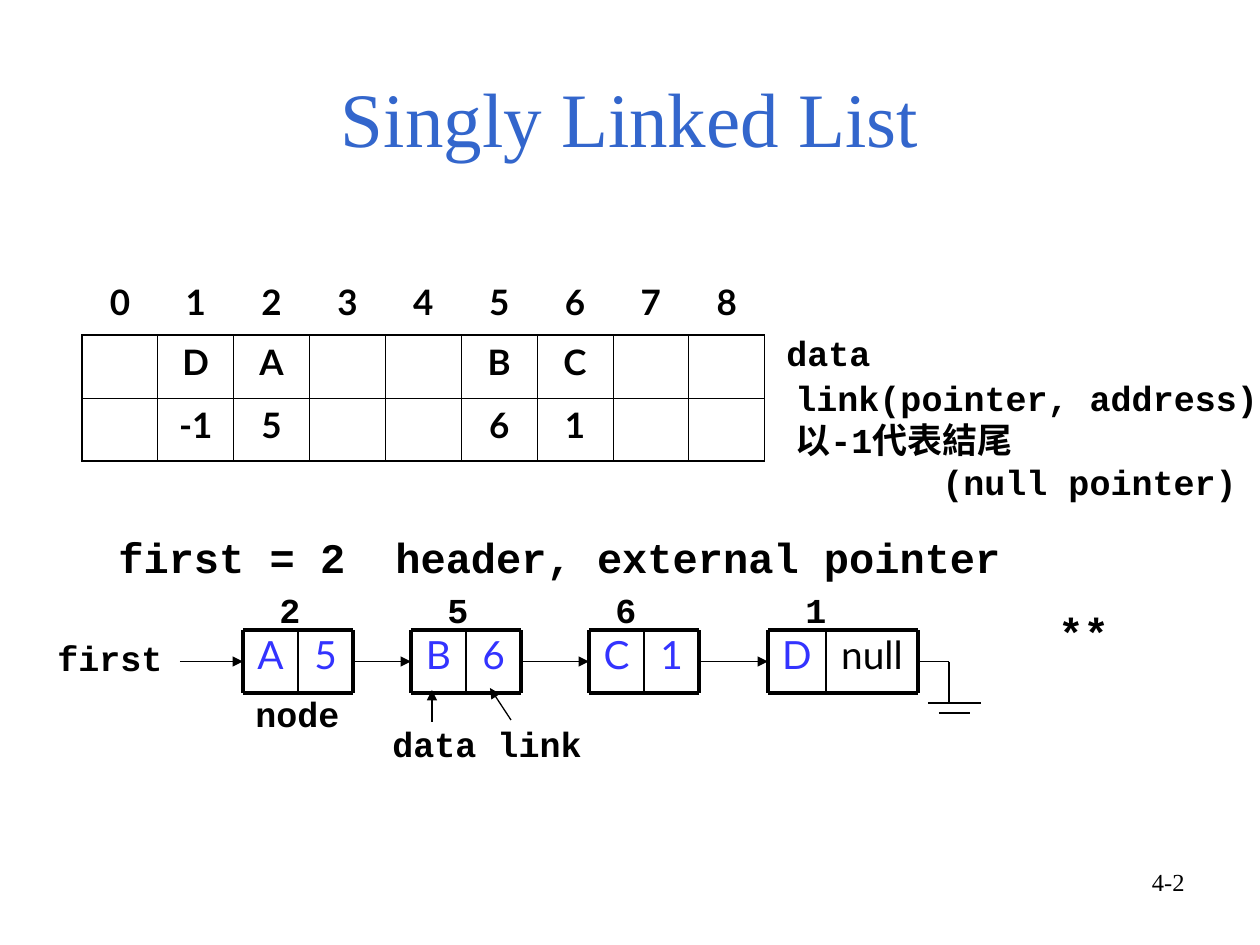
from lxml import etree
from pptx import Presentation
from pptx.dml.color import RGBColor
from pptx.enum.shapes import MSO_CONNECTOR
from pptx.enum.text import MSO_ANCHOR, PP_ALIGN
from pptx.oxml.ns import qn
from pptx.util import Pt

STRAIGHT = MSO_CONNECTOR.STRAIGHT
LEFT, CENTER, RIGHT = PP_ALIGN.LEFT, PP_ALIGN.CENTER, PP_ALIGN.RIGHT
TOP, MIDDLE = MSO_ANCHOR.TOP, MSO_ANCHOR.MIDDLE
LEFT_SIDE, RIGHT_SIDE = 1, 3
BLACK, TITLE_BLUE, NODE_BLUE = "000000", "3366CC", "3333FF"
MONO, SERIF, SANS = "Courier New", "Times New Roman", "Lato"

ROWS = [
    ["0", "1", "2", "3", "4", "5", "6", "7", "8"],
    ["", "D", "A", "", "", "B", "C", "", ""],
    ["", "-1", "5", "", "", "6", "1", "", ""],
]
ROW_HEIGHTS = [60, 63, 63]
TABLE_LEFT, TABLE_TOP, TABLE_WIDTH = 82, 275, 683
THIN, THICK = 0.45, 1.08

NODE_TOP, NODE_HEIGHT = 630, 63
NODE_MIDDLE = NODE_TOP + NODE_HEIGHT / 2
NODE_BOTTOM = NODE_TOP + NODE_HEIGHT
# (left, data width, link width, data, link, link colour, address, address left)
NODES = [
    (243, 55, 55, "A", "5", NODE_BLUE, "2", 267),
    (411, 55, 55, "B", "6", NODE_BLUE, "5", 435),
    (589, 55, 55, "C", "1", NODE_BLUE, "6", 603),
    (768, 58, 92, "D", "null", BLACK, "1", 793),
]
LABELS = [
    (["data"], 774, 325, 109, 55, 20),
    (["link(pointer, address)", "以-1代表結尾", "(null pointer)"], 783, 370, 488, 139, 20),
    (["first = 2\theader, external pointer"], 106, 525, 907, 63, 24),
    (["first"], 45, 630, 135, 55, 20),
    (["node"], 243, 686, 109, 55, 20),
    (["data link"], 380, 716, 220, 55, 20),
    (["**"], 1046, 600, 76, 63, 24),
]
INDENTED, INDENT, HEADER_TAB = "(null pointer)", 147, 277
GROUND = [
    (949, NODE_MIDDLE, 949, 703),
    (928, 703, 981, 703),
    (939, 713, 970, 713),
]
FIELD_ARROWS = [(432, 722, 432, 690), (511, 720, 490, 688)]


def px(value):
    return round(value * 914400 / 126)


def color(code):
    return RGBColor.from_string(code)


def style(paragraph, font, size, code, bold, align):
    paragraph.alignment = align
    paragraph.font.name = font
    paragraph.font.size = Pt(size)
    paragraph.font.bold = bold
    paragraph.font.color.rgb = color(code)


def add_text(lines, left, top, width, height, size, font=MONO, code=BLACK,
             bold=True, align=LEFT, wrap=False, anchor=TOP, spacing=None):
    box = page.shapes.add_textbox(px(left), px(top), px(width), px(height))
    frame = box.text_frame
    frame.word_wrap = wrap
    frame.vertical_anchor = anchor
    for index, line in enumerate(lines):
        paragraph = frame.paragraphs[0] if index == 0 else frame.add_paragraph()
        paragraph.text = line
        properties = paragraph._p.get_or_add_pPr()
        if line == INDENTED:
            properties.set("marL", str(px(INDENT)))
        if "\t" in line:
            tabs = etree.SubElement(properties, qn("a:tabLst"))
            etree.SubElement(tabs, qn("a:tab"), pos=str(px(HEADER_TAB)), algn="l")
        if spacing:
            paragraph.line_spacing = spacing
        style(paragraph, font, size, code, bold, align)
    return box


def add_line(x1, y1, x2, y2, width=0.75, arrow=False, start=None, end=None):
    line = page.shapes.add_connector(STRAIGHT, px(x1), px(y1), px(x2), px(y2))
    line.line.color.rgb = color(BLACK)
    line.line.width = Pt(width)
    if arrow:
        etree.SubElement(line.line._get_or_add_ln(), qn("a:tailEnd"), type="triangle")
    etree.SubElement(line._element.spPr, qn("a:effectLst"))
    if start:
        line.begin_connect(start, RIGHT_SIDE)
    if end:
        line.end_connect(end, LEFT_SIDE)


def set_border(cell, side, width):
    edge = etree.SubElement(cell._tc.get_or_add_tcPr(), qn("a:" + side), w=str(Pt(width)))
    if width:
        fill = etree.SubElement(edge, qn("a:solidFill"))
        etree.SubElement(fill, qn("a:srgbClr"), val=BLACK)
    else:
        etree.SubElement(edge, qn("a:noFill"))


def add_memory_table():
    count = len(ROWS[0])
    table = page.shapes.add_table(
        len(ROWS), count, px(TABLE_LEFT), px(TABLE_TOP),
        px(TABLE_WIDTH), px(sum(ROW_HEIGHTS))).table
    table.first_row = table.horz_banding = False
    for column in table.columns:
        column.width = px(TABLE_WIDTH / count)
    for r, values in enumerate(ROWS):
        table.rows[r].height = px(ROW_HEIGHTS[r])
        for c, value in enumerate(values):
            cell = table.cell(r, c)
            cell.text = value
            style(cell.text_frame.paragraphs[0], SANS, 20, BLACK, True, CENTER)
            index_row = r == 0
            borders = {
                "lnL": 0 if index_row else THICK if c == 0 else THIN,
                "lnR": 0 if index_row else THICK if c == count - 1 else THIN,
                "lnT": 0 if index_row else THICK if r == 1 else THIN,
                "lnB": THIN if r == 1 else THICK,
            }
            for side, width in borders.items():
                set_border(cell, side, width)
            cell.fill.background()


def add_node(left, data_width, link_width, data, link, link_color, address, address_left):
    divider = left + data_width
    right = divider + link_width
    data_box, link_box = [
        add_text([value], x, NODE_TOP, width, NODE_HEIGHT, 22.2, SANS, code,
                 False, CENTER, True, spacing=0.9)
        for value, x, width, code in [(data, left, data_width, NODE_BLUE),
                                      (link, divider, link_width, link_color)]]
    for y in (NODE_TOP, NODE_BOTTOM):
        add_line(left, y, right, y, 2.25)
    for x, width in [(left, 2.25), (divider, 1), (right, 2.25)]:
        add_line(x, NODE_TOP, x, NODE_BOTTOM, width)
    add_text([address], address_left, 582, 46, 55, 20)
    return data_box, link_box


deck = Presentation()
deck.slide_width, deck.slide_height = px(1260), px(945)
page = deck.slides.add_slide(deck.slide_layouts[6])

add_text(["Singly Linked List"], 63, 38, 1134, 157, 44, SERIF, TITLE_BLUE,
         False, CENTER, True, MIDDLE)
add_memory_table()
for label in LABELS:
    add_text(*label)

data_boxes, link_boxes = zip(*[add_node(*node) for node in NODES])
add_line(180, NODE_MIDDLE, NODES[0][0], NODE_MIDDLE, arrow=True, end=data_boxes[0])
for start, end in zip(link_boxes, data_boxes[1:]):
    add_line(0, 0, 0, 0, arrow=True, start=start, end=end)
add_line(918, NODE_MIDDLE, 949, NODE_MIDDLE, start=link_boxes[-1])
for segment in GROUND:
    add_line(*segment)
for segment in FIELD_ARROWS:
    add_line(*segment, arrow=True)

add_text(["4-2"], 903, 861, 294, 66, 14, SERIF, bold=False, align=RIGHT, wrap=True)
deck.save("out.pptx")
